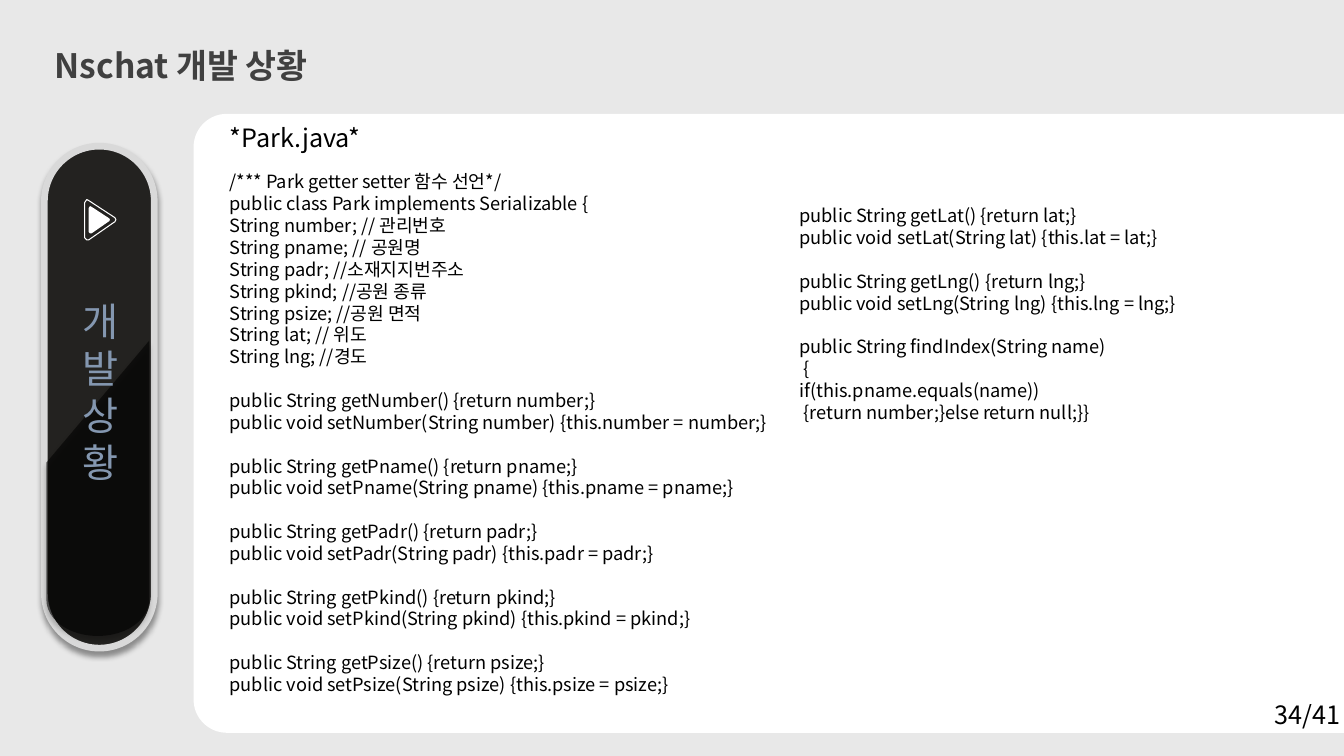
import math

import pptx
import pptx.dml.color
import pptx.enum.shapes
import pptx.enum.text
import pptx.oxml.ns
import pptx.util
from lxml import etree
from pptx.util import Inches

FONT = "Noto Sans CJK KR"
COLORS = {
    "backdrop": "E8E8E8", "white": "FFFFFF", "black": "000000", "capsule": "232220",
    "rim": "D9D9D9", "label": "8497B0", "title": "404040",
}
TITLE = "Nschat 개발 상황"
SECTION = "개발상황"
PAGE_NUMBER = "34/41"
FILE_NAME = "*Park.java*"
CODE_SIZE = 13
CODE_GAP = 15.6  # one empty code line, in points

FIELDS_AND_SETTERS = [
    [
        "/*** Park getter setter 함수 선언*/",
        "public class Park implements Serializable {",
        "String number; // 관리번호",
        "String pname; // 공원명",
        "String padr; //소재지지번주소",
        "String pkind; //공원 종류",
        "String psize; //공원 면적",
        "String lat; // 위도",
        "String lng; //경도",
    ],
    [
        "public String getNumber() {return number;}",
        "public void setNumber(String number) {this.number = number;}",
    ],
    [
        "public String getPname() {return pname;}",
        "public void setPname(String pname) {this.pname = pname;}",
    ],
    [
        "public String getPadr() {return padr;}",
        "public void setPadr(String padr) {this.padr = padr;}",
    ],
    [
        "public String getPkind() {return pkind;}",
        "public void setPkind(String pkind) {this.pkind = pkind;}",
    ],
    [
        "public String getPsize() {return psize;}",
        "public void setPsize(String psize) {this.psize = psize;}",
    ],
]
POSITION_AND_SEARCH = [
    [
        "public String getLat() {return lat;}",
        "public void setLat(String lat) {this.lat = lat;}",
    ],
    [
        "public String getLng() {return lng;}",
        "public void setLng(String lng) {this.lng = lng;}",
    ],
    [
        "public String findIndex(String name)",
        " {",
        "if(this.pname.equals(name))",
        " {return number;}else return null;}}",
    ],
]
PLAY_OUTLINE = [
    (0.84, 2.01), (0.86, 1.98), (0.88, 1.99), (1.14, 2.16), (1.15, 2.18),
    (1.14, 2.2), (0.88, 2.38), (0.86, 2.38), (0.84, 2.36),
]


def rgb(name):
    return pptx.dml.color.RGBColor.from_string(COLORS[name])


def sub(parent, tag, **attributes):
    return etree.SubElement(parent, pptx.oxml.ns.qn(tag), attributes)


def arc(center, radii, start, end, steps=24):
    """Points along an ellipse; angles in degrees, clockwise from the right."""
    angles = [math.radians(start + (end - start) * i / steps) for i in range(steps + 1)]
    return [(center[0] + radii[0] * math.cos(a), center[1] + radii[1] * math.sin(a))
            for a in angles]


def style(shape, fill=None, line=None, width=0.75):
    shape.shadow.inherit = False
    if fill:
        shape.fill.solid()
        shape.fill.fore_color.rgb = rgb(fill)
    else:
        shape.fill.background()
    if line:
        shape.line.color.rgb = rgb(line)
        shape.line.width = pptx.util.Pt(width)
    else:
        shape.line.fill.background()


def add_polygon(page, points, **look):
    corners = [(Inches(x), Inches(y)) for x, y in points]
    builder = page.shapes.build_freeform(*corners[0])
    builder.add_line_segments(corners[1:], close=True)
    shape = builder.convert_to_shape()
    style(shape, **look)
    return shape


def drop_shadow(shape):
    effects = shape.element.spPr.find(pptx.oxml.ns.qn("a:effectLst"))
    shadow = sub(effects, "a:outerShdw", blurRad=str(pptx.util.Pt(4)),
                 dist=str(pptx.util.Pt(3)), dir="5400000", algn="t", rotWithShape="0")
    sub(sub(shadow, "a:srgbClr", val=COLORS["black"]), "a:alpha", val="40000")


def format_para(para, size, color, bold=False):
    font = para.font
    font.size = pptx.util.Pt(size)
    font.bold = bold
    font.color.rgb = rgb(color)
    font.name = FONT
    latin = next(para._p.iter(pptx.oxml.ns.qn("a:latin")))
    sub(latin.getparent(), "a:ea", typeface=FONT)


def add_text(page, place, lines, align=pptx.enum.text.PP_ALIGN.LEFT):
    """Add a text box; each line is (text, size, color, space before)."""
    box = page.shapes.add_textbox(*map(Inches, place))
    frame = box.text_frame
    frame.word_wrap = True
    for index, (text, size, color, gap) in enumerate(lines):
        para = frame.add_paragraph() if index else frame.paragraphs[0]
        para.text = text
        para.alignment = align
        if gap:
            para.space_before = pptx.util.Pt(gap)
        format_para(para, size, color)


def code_lines(blocks, first_gap=0):
    return [
        (text, CODE_SIZE, "black", 0 if row else (CODE_GAP if number else first_gap))
        for number, block in enumerate(blocks)
        for row, text in enumerate(block)
    ]


def main():
    deck = pptx.Presentation()
    deck.slide_width, deck.slide_height = Inches(13.33), Inches(7.5)
    page = deck.slides.add_slide(deck.slide_layouts[5])
    page.background.fill.solid()
    page.background.fill.fore_color.rgb = rgb("backdrop")

    title = page.shapes.title
    title.left, title.top, title.width, title.height = map(Inches, (0.44, 0.2, 3.49, 0.63))
    frame = title.text_frame
    frame.text = TITLE
    frame.auto_size = pptx.enum.text.MSO_AUTO_SIZE.NONE
    frame.vertical_anchor = pptx.enum.text.MSO_ANCHOR.TOP
    frame.word_wrap = False
    heading = frame.paragraphs[0]
    heading.alignment = pptx.enum.text.PP_ALIGN.LEFT
    heading.line_spacing = 1.5
    format_para(heading, 24, "title", bold=True)

    left, top, right, bottom, radius = 1.92, 1.13, 13.33, 7.27, 0.33
    panel = (arc((left + radius, bottom - radius), (radius, radius), 90, 180)
             + arc((left + radius, top + radius), (radius, radius), 180, 270)
             + [(right, top), (right, bottom)])
    add_polygon(page, panel, fill="white")

    capsule = page.shapes.add_shape(pptx.enum.shapes.MSO_SHAPE.ROUNDED_RECTANGLE,
                                    *map(Inches, (0.44, 1.45, 1.09, 4.98)))
    capsule.adjustments[0] = 0.5
    style(capsule, fill="capsule", line="rim", width=4.75)
    drop_shadow(capsule)

    gloss = add_polygon(page, [(0.46, 4.59), (1.48, 3.38)]
                        + arc((0.97, 5.95), (0.51, 0.36), 0, 180), fill="black")
    tint = gloss.element.spPr.find(pptx.oxml.ns.qn("a:solidFill"))[0]
    sub(tint, "a:alpha", val="57000")
    drop_shadow(gloss)

    add_text(page, (0.54, 2.9, 0.91, 2.93),
             [(letter, 28, "label", 0) for letter in SECTION],
             pptx.enum.text.PP_ALIGN.CENTER)

    add_polygon(page, PLAY_OUTLINE, line="white")
    play_core = [(0.985 + 0.68 * (x - 0.995), 2.18 + 0.68 * (y - 2.18))
                 for x, y in PLAY_OUTLINE]
    add_polygon(page, play_core, fill="white")

    add_text(page, (2.18, 1.16, 5.7, 6.21),
             [(FILE_NAME, 18, "black", 0)] + code_lines(FIELDS_AND_SETTERS, first_gap=13.2))
    add_text(page, (12.54, 6.89, 0.96, 0.4), [(PAGE_NUMBER, 18, "black", 0)])
    add_text(page, (7.83, 1.98, 4.62, 2.29), code_lines(POSITION_AND_SEARCH))
    deck.save("out.pptx")


if __name__ == "__main__":
    main()
